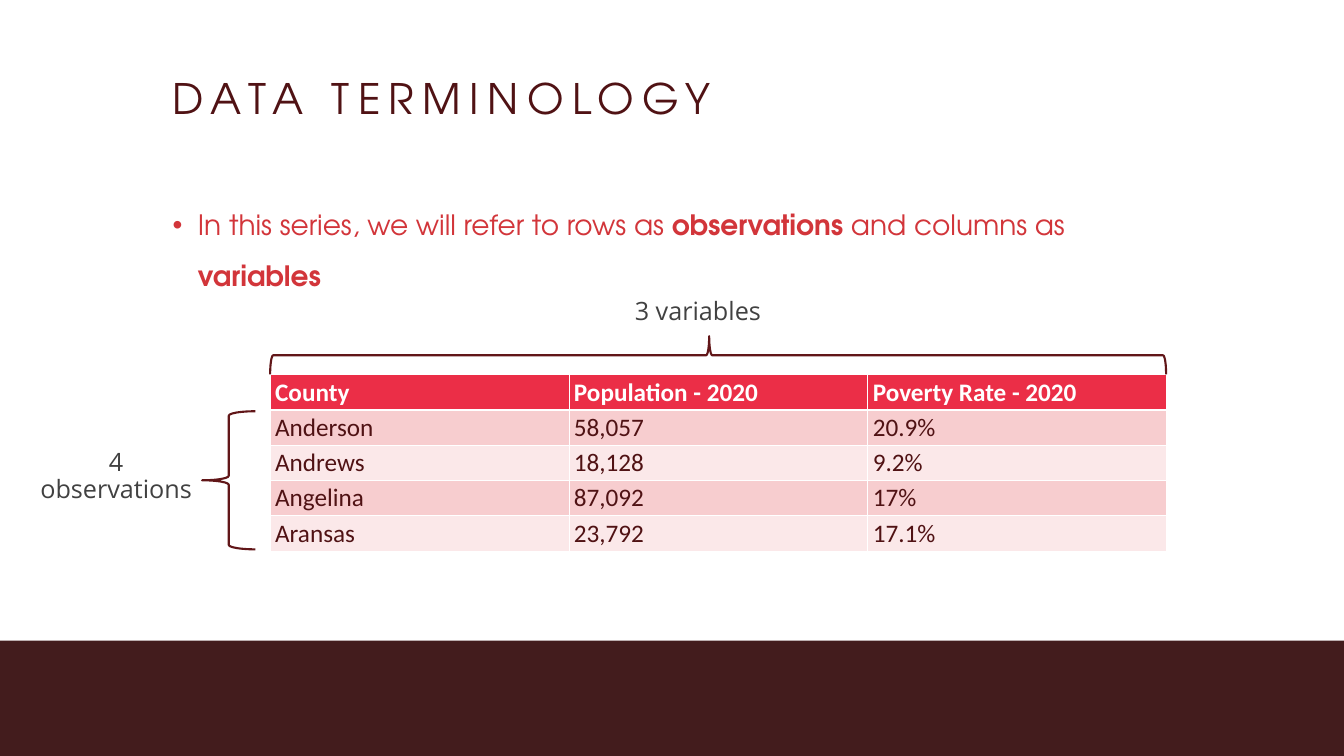
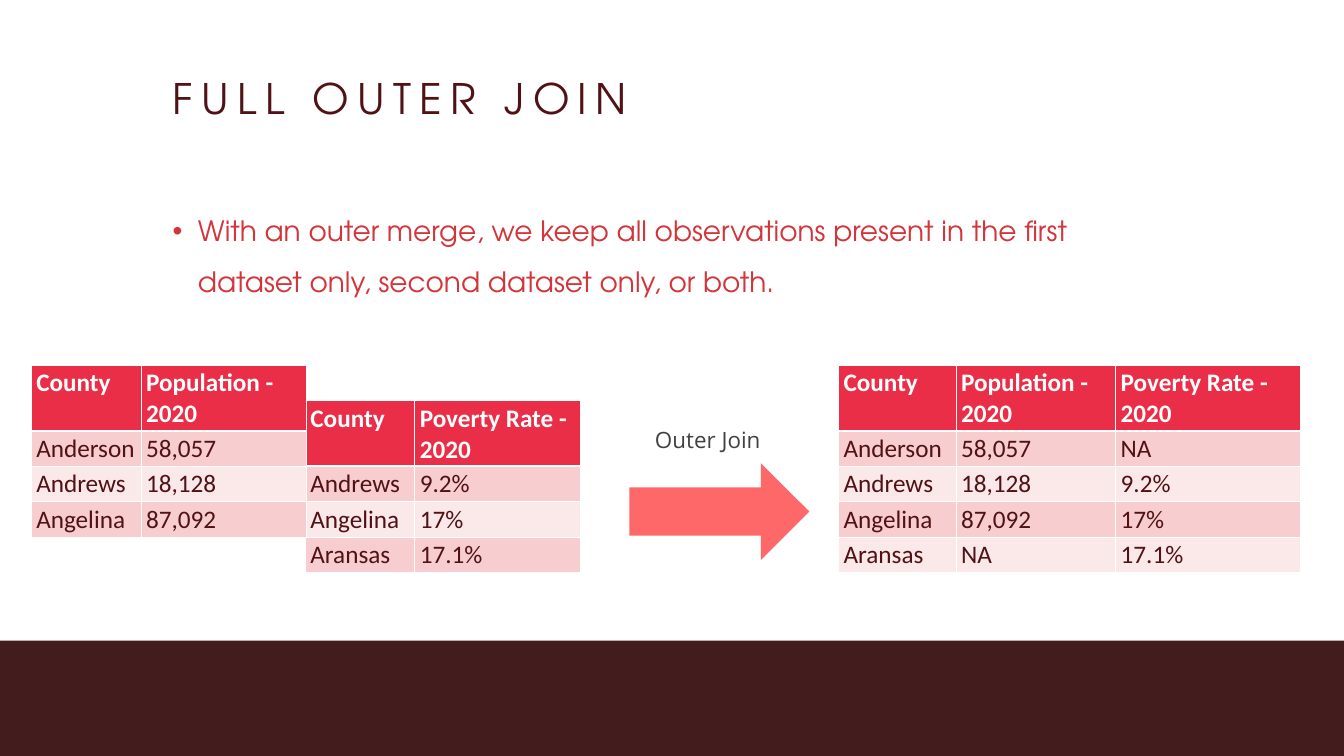
from lxml import etree
from pptx import Presentation
from pptx import util as u
from pptx.dml.color import RGBColor
from pptx.enum import shapes, text
from pptx.oxml import ns

# Scale: 100 px to the inch
PX = 9144
WIDTH, HEIGHT = 2667, 1500

# Colours
WHITE = RGBColor(0xFF, 0xFF, 0xFF)
BAND = RGBColor(0x43, 0x1C, 0x1D)
MAROON = RGBColor(0x50, 0x12, 0x14)
BODY_RED = RGBColor(0xD2, 0x35, 0x3A)
HEADER_RED = RGBColor(0xEB, 0x2E, 0x47)
ROW_FILLS = RGBColor(0xF7, 0xCD, 0xCF), RGBColor(0xFB, 0xE8, 0xE9)
BRACE_LINE = RGBColor(0x61, 0x16, 0x18)
ARROW_FILL = RGBColor(0xFE, 0x68, 0x69)
LABEL_GREY = RGBColor(0x41, 0x41, 0x41)

# Fonts
DISPLAY, TABLE_FONT, LABEL_FONT = "TeX Gyre Adventor", "Calibri", "Open Sans"

# County data
COUNTY, POP, RATE = "County", "Population - 2020", "Poverty Rate - 2020"
POPULATION = {"Anderson": "58,057", "Andrews": "18,128",
              "Angelina": "87,092", "Aransas": "23,792"}
POVERTY = {"Anderson": "20.9%", "Andrews": "9.2%",
           "Angelina": "17%", "Aransas": "17.1%"}
COUNTIES = list(POPULATION)


def px(*lengths):
    return [u.Emu(n * PX) for n in lengths]


def sub(parent, tag, **attrs):
    return etree.SubElement(parent, ns.qn(tag), attrs)


def set_border(cell, index, side, points):
    ln = etree.Element(ns.qn(f"a:ln{side}"), w=str(u.Pt(points)))
    sub(sub(ln, "a:solidFill"), "a:srgbClr", val=str(WHITE))
    cell._tc.get_or_add_tcPr().insert(index, ln)


class Deck:
    def __init__(self):
        self.prs = Presentation()
        self.prs.slide_width, self.prs.slide_height = px(WIDTH, HEIGHT)
        self.s = None

    def new_slide(self, title):
        self.s = self.prs.slides.add_slide(self.prs.slide_layouts[6])
        self.s.background.fill.solid()
        self.s.background.fill.fore_color.rgb = WHITE
        self.shape(shapes.MSO_SHAPE.RECTANGLE, 0, 1271, WIDTH, 240, fill=BAND)
        p = self.text_box(333, 150, 2000, 125, 0.9)
        r = self.run(p, title, DISPLAY, 60, MAROON)
        r._r.get_or_add_rPr().set("spc", "1200")

    def text_box(self, x, y, w, h, spacing):
        tf = self.s.shapes.add_textbox(*px(x, y, w, h)).text_frame
        tf.word_wrap = True
        p = tf.paragraphs[0]
        p.line_spacing = spacing
        return p

    def run(self, p, words, font, size, color, bold=False):
        r = p.add_run()
        r.text = words
        r.font.name, r.font.size, r.font.bold = font, u.Pt(size), bold
        r.font.color.rgb = color
        return r

    def bullet(self, y, h, *parts):
        """Every second part is bold."""
        p = self.text_box(333, y, 2000, h, 1.5)
        p.space_before = u.Pt(20)
        pPr = p._p.get_or_add_pPr()
        pPr.set("marL", str(50 * PX))
        pPr.set("indent", str(-50 * PX))
        sub(pPr, "a:buFont", typeface="Arial")
        sub(pPr, "a:buChar", char="•")
        for i, part in enumerate(parts):
            self.run(p, part, DISPLAY, 40, BODY_RED, i % 2 == 1)

    def label(self, words, x, y, w, h, size=36):
        p = self.text_box(x, y, w, h, 0.9)
        p.alignment = text.PP_ALIGN.CENTER
        self.run(p, words, LABEL_FONT, size, LABEL_GREY)

    def shape(self, kind, x, y, w, h, fill=None, line=None):
        sp = self.s.shapes.add_shape(kind, *px(x, y, w, h))
        sp.shadow.inherit = False
        if fill is None:
            sp.fill.background()
        else:
            sp.fill.solid()
            sp.fill.fore_color.rgb = fill
        if line is None:
            sp.line.fill.background()
        else:
            sp.line.color.rgb = line
            sp.line.width = u.Pt(3)
        return sp

    def brace(self, x, y, w, h):
        return self.shape(shapes.MSO_SHAPE.LEFT_BRACE, x, y, w, h,
                          line=BRACE_LINE)

    def table(self, x, y, widths, rows, header_h=130, row_h=70):
        heights = [header_h] + [row_h] * (len(rows) - 1)
        frame = self.s.shapes.add_table(
            len(rows), len(widths), *px(x, y, sum(widths), sum(heights)))
        table = frame.table
        table.horz_banding = False
        for col, w in zip(table.columns, px(*widths)):
            col.width = w
        for row, h in zip(table.rows, px(*heights)):
            row.height = h
        for i, values in enumerate(rows):
            for j, value in enumerate(values):
                self.cell(table.cell(i, j), value, i)

    def cell(self, cell, value, i):
        header = i == 0
        cell.fill.solid()
        cell.fill.fore_color.rgb = HEADER_RED if header else ROW_FILLS[(i - 1) % 2]
        for index, side in enumerate("LRTB"):
            thick = header and side == "B" or i == 1 and side == "T"
            set_border(cell, index, side, 3 if thick else 1)
        self.run(cell.text_frame.paragraphs[0], value, TABLE_FONT, 36,
                 WHITE if header else MAROON, header)


def rows_of(counties, **columns):
    """Header and one row per county; a missing value shows as NA."""
    names = {"pop": POP, "rate": RATE}
    header = [COUNTY] + [names[key] for key in columns]
    return [header] + [[c] + [data.get(c, "NA") for data in columns.values()]
                       for c in counties]


def data_terminology(deck):
    deck.new_slide("DATA TERMINOLOGY")
    deck.bullet(374, 737, "In this series, we will refer to rows as ",
                "observations", " and columns as ", "variables")
    deck.table(536, 743, [593] * 3,
               rows_of(COUNTIES, pop=POPULATION, rate=POVERTY), header_h=70)
    # Braces count the rows and the columns
    deck.brace(401, 816, 106, 274)
    deck.label("4 observations", 54, 887, 353, 131)
    top = deck.brace(1387, -184, 76, 1778)
    top.rotation = 90
    top.adjustments[0], top.adjustments[1] = 0.08, 0.51
    deck.label("3 variables", 1108, 587, 554, 71)


def full_outer_join(deck):
    deck.new_slide("FULL OUTER JOIN")
    deck.bullet(386, 725, "With an outer merge, we keep all observations present "
                "in the first dataset only, second dataset only, or both.")
    # Joined result, then the two inputs
    first, second = COUNTIES[:3], COUNTIES[1:]
    pop = {c: POPULATION[c] for c in first}
    rate = {c: POVERTY[c] for c in second}
    deck.table(1664, 725, [233, 317, 367], rows_of(COUNTIES, pop=pop, rate=rate))
    deck.table(606, 795, [217, 328], rows_of(second, rate=rate))
    deck.table(62, 725, [218, 327], rows_of(first, pop=pop))
    # Arrow from inputs to result
    deck.shape(shapes.MSO_SHAPE.RIGHT_ARROW, 1249, 919, 357, 192, fill=ARROW_FILL)
    deck.label("Outer Join", 1210, 847, 389, 64, size=32)


def main():
    deck = Deck()
    data_terminology(deck)
    full_outer_join(deck)
    deck.prs.save("out.pptx")


if __name__ == "__main__":
    main()
